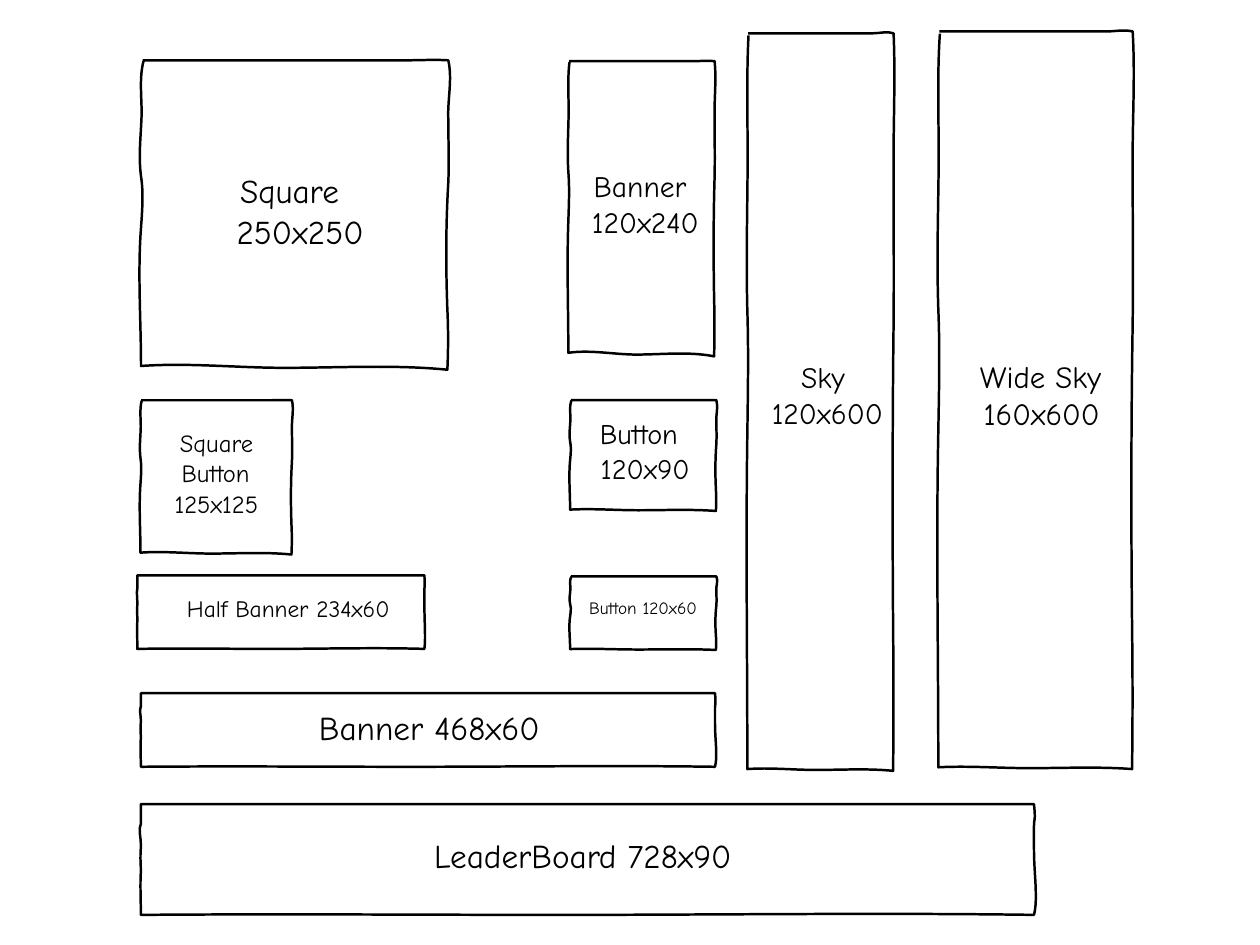
from lxml import etree
from pptx import Presentation
from pptx import util as u
from pptx.dml.color import RGBColor
from pptx.enum import text
from pptx.oxml import ns

EMU_PER_PX = 9144  # 100 px to the inch
COLOURS = {"ink": "000000", "paper": "FFFFFF"}

# Hand-drawn outlines in thousandths of the frame: a start point,
# then cubic curves as groups of two control points and an end point
WAVY = [
    (14, 3),
    (296, 3), (578, 3), (860, 3),
    (906, 3), (954, 0), (997, 3),
    (1011, 66), (994, 129), (997, 195),
    (997, 261), (1000, 330), (997, 398),
    (989, 533), (989, 673), (994, 808),
    (997, 871), (997, 937), (994, 1003),
    (823, 986), (641, 997), (470, 997),
    (319, 997), (162, 980), (9, 991),
    (9, 860), (0, 725), (6, 593),
    (9, 524), (20, 447), (9, 378),
    (0, 307), (9, 249), (11, 175),
    (11, 120), (3, 57), (17, 6),
]
STEADY = [
    (3, 0),
    (289, 0), (578, 0), (865, 0),
    (909, 0), (957, 0), (1000, 0),
    (1002, 160), (1000, 130), (1000, 195),
    (1000, 255), (1000, 325), (1000, 400),
    (1000, 566), (1002, 690), (1002, 820),
    (1002, 890), (1002, 928), (1000, 1000),
    (829, 980), (643, 1000), (470, 1000),
    (314, 1000), (157, 990), (3, 1000),
    (3, 865), (2, 730), (3, 610),
    (3, 542), (2, 506), (3, 390),
    (3, 265), (0, 250), (3, 180),
    (3, 120), (3, 160), (3, 0),
]
# The tall frames have an almost flat bottom edge
TALL = [(x, 1000 + (y - 1000) * 0.2 if y > 975 else y) for x, y in WAVY]

# Outline, left, top, width, height
FRAMES = [
    (WAVY, 156, 67, 351, 349),
    (WAVY, 157, 451, 173, 174),
    (WAVY, 642, 451, 167, 125),
    (WAVY, 640, 68, 167, 333),
    (TALL, 842, 35, 167, 834),
    (TALL, 1057, 33, 222, 834),
    (WAVY, 642, 650, 167, 83),
    (STEADY, 156, 907, 1011, 125),
    (STEADY, 157, 782, 650, 83),
    (STEADY, 154, 649, 325, 83),
]

# Wording, font size, left, top, width
LABELS = [
    ("LeaderBoard 728x90", 27, 486, 938, 373),
    ("Banner 468x60", 27, 356, 794, 274),
    ("Half Banner 234x60", 19, 207, 666, 252),
    ("Square", 27, 267, 188, 133),
    ("250x250", 27, 263, 234, 157),
    ("Banner", 24, 666, 186, 131),
    ("120x240", 24, 664, 226, 140),
    ("Button", 23, 673, 466, 120),
    ("120x90", 23, 674, 505, 117),
    ("Square", 20, 199, 479, 108),
    ("Button", 20, 201, 513, 105),
    ("125x125", 20, 193, 548, 119),
    ("Button 120x60", 14, 661, 669, 142),
    ("Sky", 24, 900, 401, 62),
    ("120x600", 24, 867, 441, 140),
    ("Wide Sky", 25, 1102, 399, 164),
    ("160x600", 25, 1106, 441, 146),
]


def px(length):
    return u.Emu(round(length * EMU_PER_PX))


def colour(name):
    return RGBColor.from_string(COLOURS[name])


def bend(shape, points):
    """Turn each straight segment of the shape into a cubic curve."""
    for i, segment in enumerate(list(shape._element.iter(ns.qn("a:lnTo")))):
        segment.tag = ns.qn("a:cubicBezTo")
        segment.clear()
        for x, y in points[3 * i + 1:3 * i + 4]:
            etree.SubElement(segment, ns.qn("a:pt"),
                             x=str(x - shape.left), y=str(y - shape.top))


class Sketch:
    font = "Comic Neue"
    line_width = u.Pt(2)
    inset = 4

    def __init__(self, page):
        self.page = page
        page.background.fill.solid()
        page.background.fill.fore_color.rgb = colour("paper")

    def frame(self, outline, left, top, width, height):
        points = [(px(left + x * width / 1000), px(top + y * height / 1000))
                  for x, y in outline]
        builder = self.page.shapes.build_freeform(*points[0])
        builder.add_line_segments(points[3::3], close=False)
        shape = builder.convert_to_shape()
        bend(shape, points)
        shape.shadow.inherit = False
        shape.fill.background()
        shape.line.color.rgb = colour("ink")
        shape.line.width = self.line_width

    def label(self, wording, size, left, top, width):
        height = round(size * 1.62 + 9)
        box = self.page.shapes.add_textbox(px(left), px(top), px(width), px(height))
        frame = box.text_frame
        frame.word_wrap = False
        frame.auto_size = text.MSO_AUTO_SIZE.SHAPE_TO_FIT_TEXT
        frame.vertical_anchor = text.MSO_ANCHOR.MIDDLE
        frame.margin_left = frame.margin_right = px(self.inset)
        frame.margin_top = frame.margin_bottom = px(self.inset)
        para = frame.paragraphs[0]
        para.text = wording
        para.font.name = self.font
        para.font.size = u.Pt(size)
        para.font.color.rgb = colour("ink")


def main():
    deck = Presentation()
    deck.slide_width, deck.slide_height = px(1422), px(1066)
    sketch = Sketch(deck.slides.add_slide(deck.slide_layouts[6]))

    # Advert frames
    for frame in FRAMES:
        sketch.frame(*frame)

    # Names and sizes
    for label in LABELS:
        sketch.label(*label)

    deck.save("out.pptx")


if __name__ == "__main__":
    main()
